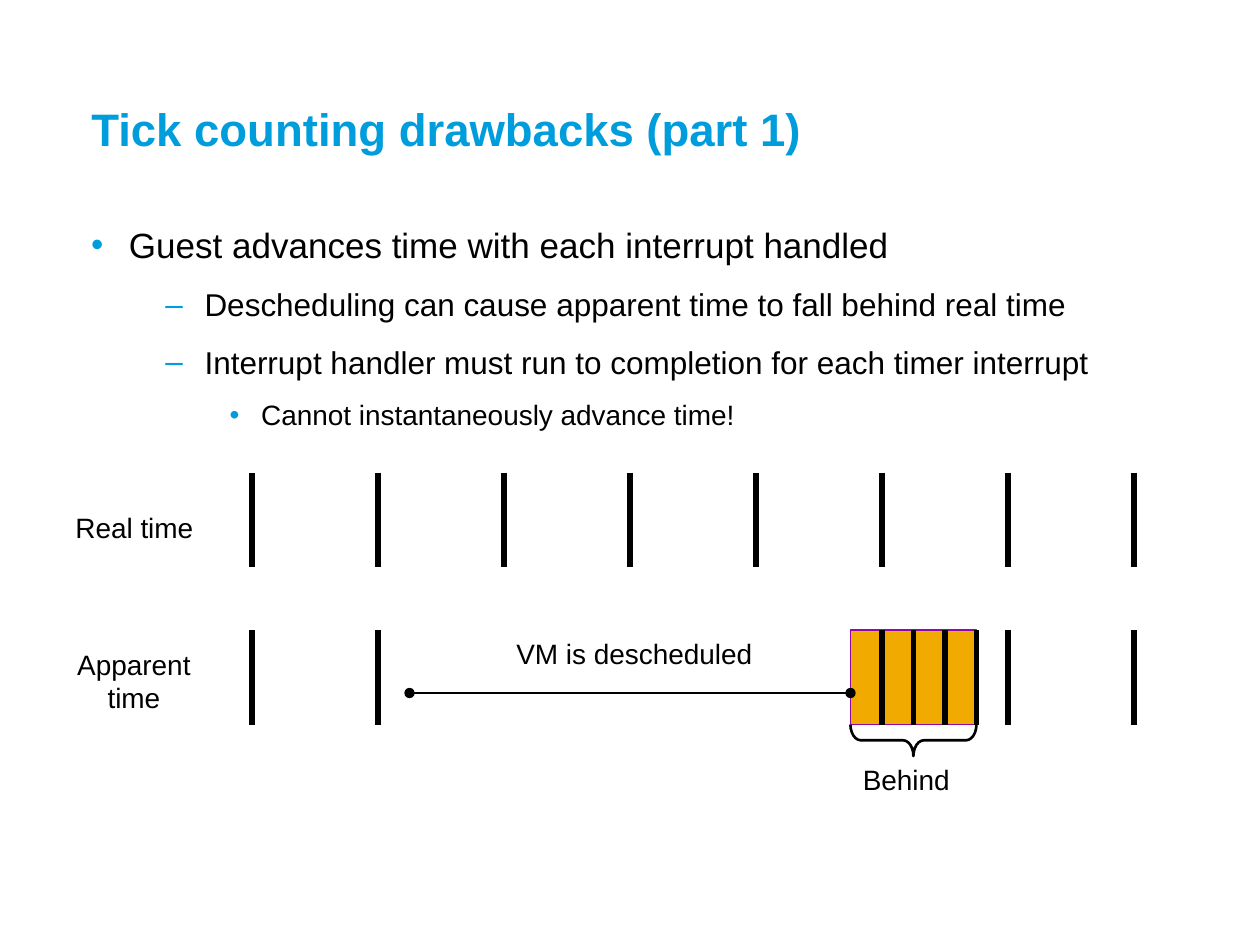
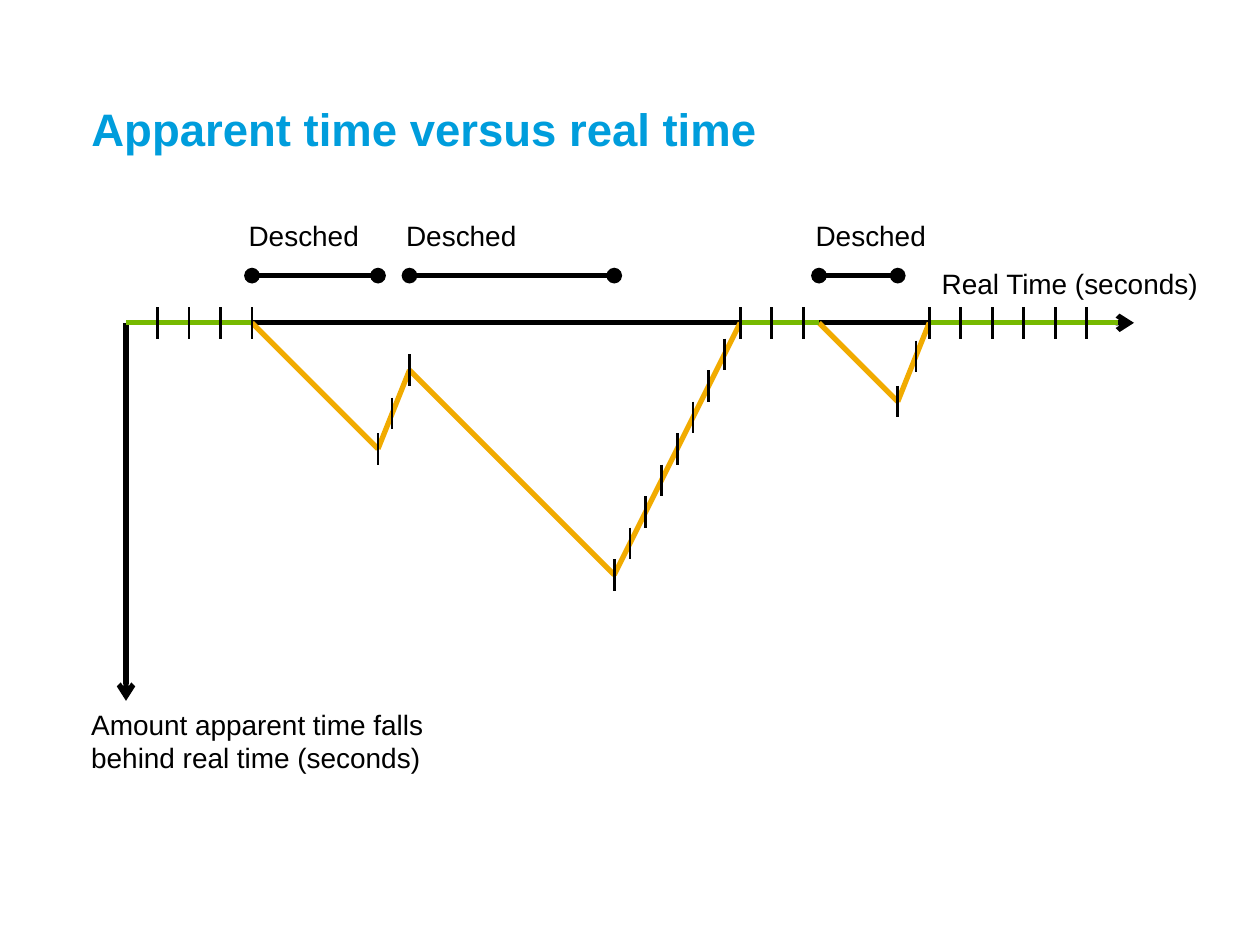
from dataclasses import dataclass
from itertools import chain, pairwise

from pptx import Presentation
from pptx.dml.color import RGBColor
from pptx.enum.shapes import MSO_CONNECTOR, MSO_SHAPE
from pptx.enum.text import MSO_ANCHOR, MSO_AUTO_SIZE, PP_ALIGN
from pptx.oxml.ns import qn
from pptx.util import Inches, Pt
from lxml.etree import SubElement

COLS, ROWS = 80, 60
TITLE_ONLY = 5


@dataclass(frozen=True)
class Theme:
    font: str = "Arial"
    blue: str = "009DDC"
    gold: str = "F1AB00"
    green: str = "76B900"
    plum: str = "9207A8"
    ink: str = "000000"
    title: int = 26
    label: int = 16
    thick: float = 3
    mid: float = 1.5
    thin: float = 1
    hair: float = 0.75
    # size, left margin, hanging indent, space before, bullet
    levels: tuple = (
        (20, 0.3, 0.3, 12.5, "•"),
        (18, 0.9, 0.31, 11.2, "–"),
        (16, 1.35, 0.25, 10, "•"),
    )


def rgb(color):
    return RGBColor.from_string(color)


class Deck:
    """Draws on the current slide; lengths are grid columns and rows."""

    def __init__(self, theme):
        self.theme = theme
        self.prs = Presentation()
        self.prs.slide_width, self.prs.slide_height = Inches(10), Inches(7.5)
        self.slide = None

    def x(self, cols):
        return round(self.prs.slide_width * cols / COLS)

    def y(self, rows):
        return round(self.prs.slide_height * rows / ROWS)

    def box(self, left, top, width, height):
        return self.x(left), self.y(top), self.x(width), self.y(height)

    def style(self, para, size, color, bold=False):
        for run in para.runs:
            font = run.font
            font.name, font.size, font.bold = self.theme.font, Pt(size), bold
            font.color.rgb = rgb(color)

    def start(self, text):
        """Add a slide with its title."""
        self.slide = self.prs.slides.add_slide(self.prs.slide_layouts[TITLE_ONLY])
        title = self.slide.shapes.title
        title.left, title.top, title.width, title.height = self.box(5, 3.9, 71, 8.9)
        frame = title.text_frame
        frame.text = text
        frame.auto_size = MSO_AUTO_SIZE.NONE
        frame.vertical_anchor = MSO_ANCHOR.MIDDLE
        para = frame.paragraphs[0]
        para.alignment, para.line_spacing = PP_ALIGN.LEFT, 0.9
        self.style(para, self.theme.title, self.theme.blue, bold=True)

    def frame(self, *place):
        frame = self.slide.shapes.add_textbox(*self.box(*place)).text_frame
        frame.word_wrap = True
        return frame

    def label(self, text, *place, align=PP_ALIGN.LEFT):
        frame = self.frame(*place)
        frame.text = text
        para = frame.paragraphs[0]
        para.alignment = align
        self.style(para, self.theme.label, self.theme.ink)

    def bullets(self, items, *place):
        frame = self.frame(*place)
        frame.text = "\n".join(text for _, text in items)
        for i, (para, (level, _)) in enumerate(zip(frame.paragraphs, items)):
            size, margin, hang, before, mark = self.theme.levels[level]
            para.level = level
            para.space_before = Pt(before if i else 0)
            props = para._p.get_or_add_pPr()
            props.set("marL", str(Inches(margin)))
            props.set("indent", str(-Inches(hang)))
            tint = SubElement(props, qn("a:buClr"))
            SubElement(tint, qn("a:srgbClr"), val=self.theme.blue)
            SubElement(props, qn("a:buFont"), typeface=self.theme.font)
            SubElement(props, qn("a:buChar"), char=mark)
            self.style(para, size, self.theme.ink)

    def line(self, start, end, color, width, head=None, tail=None):
        link = self.slide.shapes.add_connector(
            MSO_CONNECTOR.STRAIGHT,
            self.x(start[0]), self.y(start[1]), self.x(end[0]), self.y(end[1]))
        link.line.color.rgb, link.line.width = rgb(color), Pt(width)
        props = link.element.spPr
        for tag, kind in (("a:headEnd", head), ("a:tailEnd", tail)):
            if kind:
                SubElement(props.find(qn("a:ln")), qn(tag), type=kind)
        SubElement(props, qn("a:effectLst"))
        return link

    def span(self, left, right, row, width):
        """Draw a level line with a dot at each end."""
        self.line((left, row), (right, row), self.theme.ink, width, "oval", "oval")

    def tick(self, col, top, height, width):
        return self.line((col, top), (col, top + height), self.theme.ink, width)

    def shape(self, kind, place, line, width, fill=None):
        shape = self.slide.shapes.add_shape(kind, *self.box(*place))
        shape.shadow.inherit = False
        shape.line.color.rgb, shape.line.width = rgb(line), Pt(width)
        if fill:
            shape.fill.solid()
            shape.fill.fore_color.rgb = rgb(fill)
        else:
            shape.fill.background()
        return shape


def drawbacks(deck):
    theme = deck.theme
    real, seen, tall = 30, 40, 6
    left, wide = 54, 8
    deck.start("Tick counting drawbacks (part 1)")
    late = deck.shape(MSO_SHAPE.RECTANGLE, (left, seen, wide, tall),
                      theme.plum, theme.hair, theme.gold)
    deck.bullets([
        (0, "Guest advances time with each interrupt handled"),
        (1, "Descheduling can cause apparent time to fall behind real time"),
        (1, "Interrupt handler must run to completion for each timer interrupt"),
        (2, "Cannot instantaneously advance time!"),
    ], 5, 13.8, 70.5, 38.2)
    for col in range(16, 73, 8):
        deck.tick(col, real, tall, theme.thick)
    for col in (16, 24, 56, 58, 60, 62, 64, 72):
        tick = deck.tick(col, seen, tall, theme.thick)
        if col == left + wide / 2:
            tick.begin_connect(late, 0)
            tick.end_connect(late, 2)
    deck.span(26, left, 44, theme.thin)
    deck.label("VM is descheduled", 32, seen, 18, 3)
    deck.label("Behind", left, 48, wide, 3)
    brace = deck.shape(MSO_SHAPE.LEFT_BRACE, (left + 3, 43, 2, wide),
                       theme.ink, theme.mid)
    brace.rotation = 270
    brace.adjustments[0] = 0.33
    deck.label("Real time", 4, 32, 10, 3)
    deck.label("Apparent time", 3, 40.7, 11, 5.1, align=PP_ALIGN.CENTER)


def lag(curves, col):
    """Return how far apparent time is behind at a column."""
    for (a, low), (b, high) in chain.from_iterable(map(pairwise, curves)):
        if a <= col <= b:
            return low + (high - low) * (col - a) / (b - a)
    return 0


def versus(deck):
    theme = deck.theme
    axis, zero = 20.5, 8
    curves = (
        ((16, 0), (24, 8), (26, 3), (39, 16), (47, 0)),
        ((52, 0), (57, 5), (59, 0)),
    )
    deck.start("Apparent time versus real time")
    deck.line((zero, axis), (72, axis), theme.ink, theme.thick, tail="arrow")
    for curve in curves:
        for (a, low), (b, high) in pairwise(curve):
            deck.line((a, axis + low), (b, axis + high), theme.gold, theme.thick)
    deck.line((zero, axis), (zero, axis + 24), theme.ink, theme.thick, tail="arrow")
    for left, right in ((16, 24), (26, 39), (52, 57)):
        deck.span(left, right, 17.5, theme.thick)
        deck.label("Desched", left - 1, 13.5, 9, 3)
    deck.label("Real Time (seconds)", 59, 16.5, 18, 3)
    deck.label("Amount apparent time falls behind real time (seconds)",
               5, axis + 24, 23, 5.1)
    for left, right in ((zero, 16), (47, 52), (59, 71)):
        deck.line((left, axis), (right, axis), theme.green, theme.thick)
    steady = chain(range(10, 17, 2), range(47, 52, 2), range(59, 70, 2))
    catchup = chain((24, 24.9, 26), range(39, 47), (57, 58.15))
    for col in chain(steady, catchup):
        deck.tick(col, axis + lag(curves, col) - 1, 2, theme.mid)


def main():
    deck = Deck(Theme())
    drawbacks(deck)
    versus(deck)
    deck.prs.save("out.pptx")


if __name__ == "__main__":
    main()
